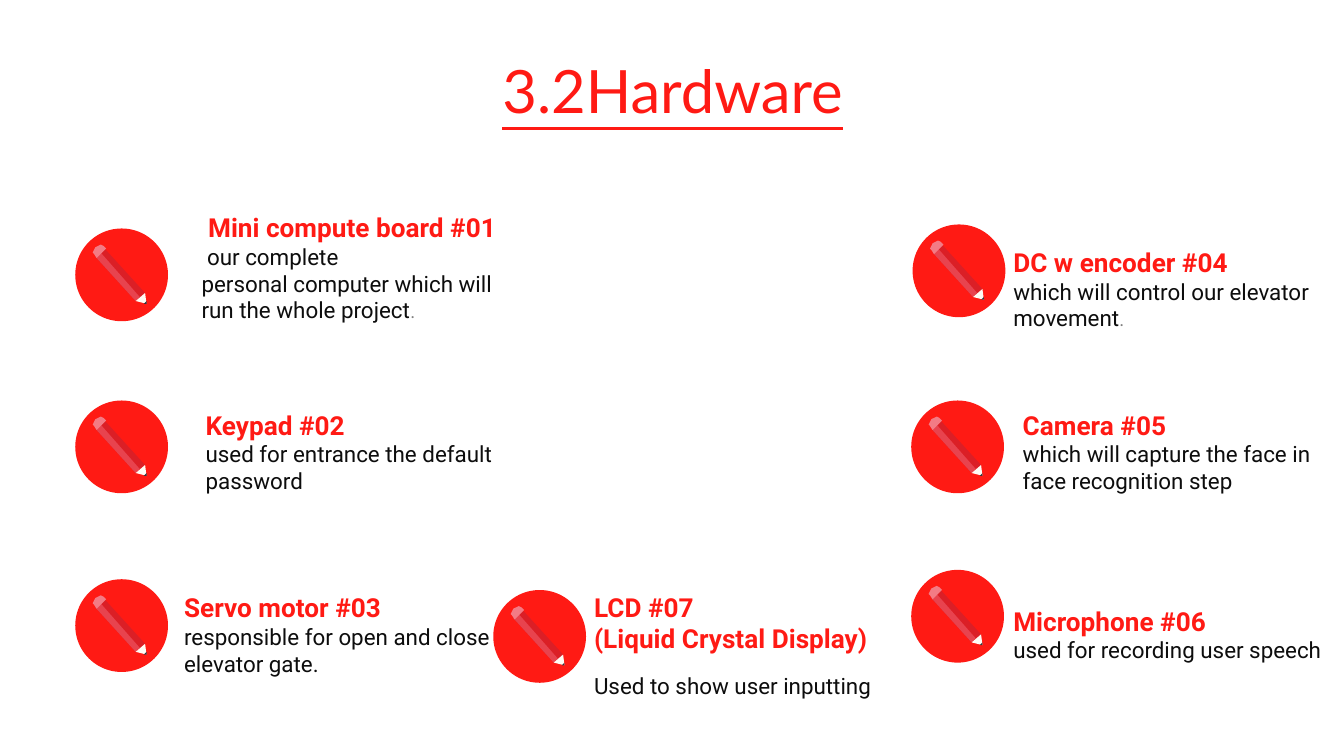
import dataclasses

import pptx
import pptx.dml.color
import pptx.enum.shapes
import pptx.enum.text
import pptx.util

Inches = pptx.util.Inches


@dataclasses.dataclass(frozen=True)
class Theme:
    """Colours, fonts and type sizes."""
    red: str = "FF1A14"
    ink: str = "0D0D0D"
    gray: str = "808080"
    white: str = "FFFFFF"
    barrel: str = "DB1F26"
    shine: str = "E8434E"
    cap: str = "F37B85"
    wood: str = "FFFBF5"
    lead: str = "33343C"
    head_font: str = "Lato"
    font: str = "Roboto"
    title: int = 32
    name: int = 14
    body: int = 12
    dot: int = 10


THEME = Theme()

# Outlines of the pencil, in inches from the corner of its disc.
PENCIL = [
    (THEME.barrel, [(.52, .48), (.45, .54), (.15, .21), (.22, .15)]),
    (THEME.shine, [(.48, .51), (.45, .54), (.15, .21), (.19, .18)]),
    (THEME.cap, [(.21, .13), (.19, .12), (.17, .13), (.15, .14), (.14, .16),
                 (.13, .18), (.14, .19), (.16, .22), (.23, .15)]),
    (THEME.wood, [(.53, .56), (.52, .48), (.45, .54)]),
    (THEME.lead, [(.53, .56), (.53, .54), (.51, .56)]),
]

# Left and top of each disc, and whether it has a ring.
ICONS = [
    (.56, 1.7, False), (.56, 2.98, True), (3.67, 4.39, True),
    (6.79, 1.67, True), (.56, 4.31, True), (6.78, 4.24, True),
    (6.78, 2.98, True),
]

# Left, top, height, name, body, and whether a gray full stop ends it.
PARTS = [
    (1.5, 1.57, .84, " Mini compute board #01",
     " our complete personal\u00a0computer which will run the whole project",
     True),
    (7.54, 1.83, .64, "DC w encoder #04",
     "which will control our elevator movement", True),
    (1.37, 4.4, .64, "Servo motor #03",
     "responsible for open and close elevator gate.", False),
    (7.54, 4.5, .44, "Microphone #06",
     "used for recording user speech", False),
    (7.61, 3.04, .64, "Camera #05",
     "which will capture the face in face recognition step", False),
    (1.53, 3.04, .64, "Keypad #02",
     "used for entrance the default password", False),
]


def tint(code):
    """Turn a hex code into a colour."""
    return pptx.dml.color.RGBColor.from_string(code)


def paint(shape, code):
    """Give a shape a plain fill with no line or shadow."""
    shape.fill.solid()
    shape.fill.fore_color.rgb = tint(code)
    shape.line.fill.background()
    shape.shadow.inherit = False


def disc(group, left, top, size, code):
    """Add a filled circle."""
    oval = pptx.enum.shapes.MSO_SHAPE.OVAL
    shape = group.shapes.add_shape(
        oval, Inches(left), Inches(top), Inches(size), Inches(size))
    paint(shape, code)


def icon(slide, left, top, ring):
    """Add a pencil on a red disc as one group."""
    group = slide.shapes.add_group_shape()
    if ring:
        disc(group, left - .03, top - .03, .75, THEME.white)
    disc(group, left, top, .69, THEME.red)
    for code, spots in PENCIL:
        ends = [(Inches(left + x), Inches(top + y)) for x, y in spots]
        pen = group.shapes.build_freeform(*ends[0], scale=1.0)
        pen.add_line_segments(ends[1:], close=True)
        paint(pen.convert_to_shape(), code)


def write(para, text, size=THEME.body, color=THEME.ink, font=THEME.font,
          bold=False, under=False):
    """Add text to a paragraph as one formatted run."""
    run = para.add_run()
    run.text = text
    run.font.size = pptx.util.Pt(size)
    run.font.name = font
    run.font.bold = bold
    run.font.underline = under
    run.font.color.rgb = tint(color)


def label(para, text):
    """Write the name of a part."""
    write(para, text, size=THEME.name, color=THEME.red, bold=True)


def frame(slide, left, top, width, height):
    """Add a wrapping text box and return its frame."""
    box = slide.shapes.add_textbox(
        Inches(left), Inches(top), Inches(width), Inches(height))
    area = box.text_frame
    area.word_wrap = True
    area.auto_size = pptx.enum.text.MSO_AUTO_SIZE.SHAPE_TO_FIT_TEXT
    return area


def panel(slide, left, top, height):
    """Add a centred text frame without margins for a part."""
    area = frame(slide, left, top, 2.34, height)
    area.margin_left = area.margin_right = 0
    area.margin_top = area.margin_bottom = 0
    area.vertical_anchor = pptx.enum.text.MSO_ANCHOR.MIDDLE
    area.paragraphs[0].space_after = pptx.util.Pt(10)
    return area


def title(slide, text):
    """Add the underlined heading."""
    para = frame(slide, 3.25, .35, 3.51, .64).paragraphs[0]
    para.alignment = pptx.enum.text.PP_ALIGN.CENTER
    write(para, text, size=THEME.title, color=THEME.red,
          font=THEME.head_font, under=True)


def part(slide, left, top, height, name, body, stop):
    """Add the name of a part with its use below."""
    para = panel(slide, left, top, height).paragraphs[0]
    label(para, name)
    para.add_line_break()
    write(para, body)
    if stop:
        write(para, ".", size=THEME.dot, color=THEME.gray)


def screen(slide):
    """Add the display part, whose use is a paragraph of its own."""
    area = panel(slide, 4.42, 4.39, .82)
    para = area.paragraphs[0]
    label(para, "LCD #07")
    para.add_line_break()
    label(para, "(Liquid Crystal Display)")
    write(area.add_paragraph(), "Used to show user inputting")


def main():
    """Build the slide and save it."""
    deck = pptx.Presentation()
    deck.slide_width = Inches(10)
    deck.slide_height = deck.slide_width * 9 // 16
    slide = deck.slides.add_slide(deck.slide_layouts[6])
    title(slide, "3.2Hardware")
    for spot in ICONS:
        icon(slide, *spot)
    screen(slide)
    for item in PARTS:
        part(slide, *item)
    deck.save("out.pptx")


main()
